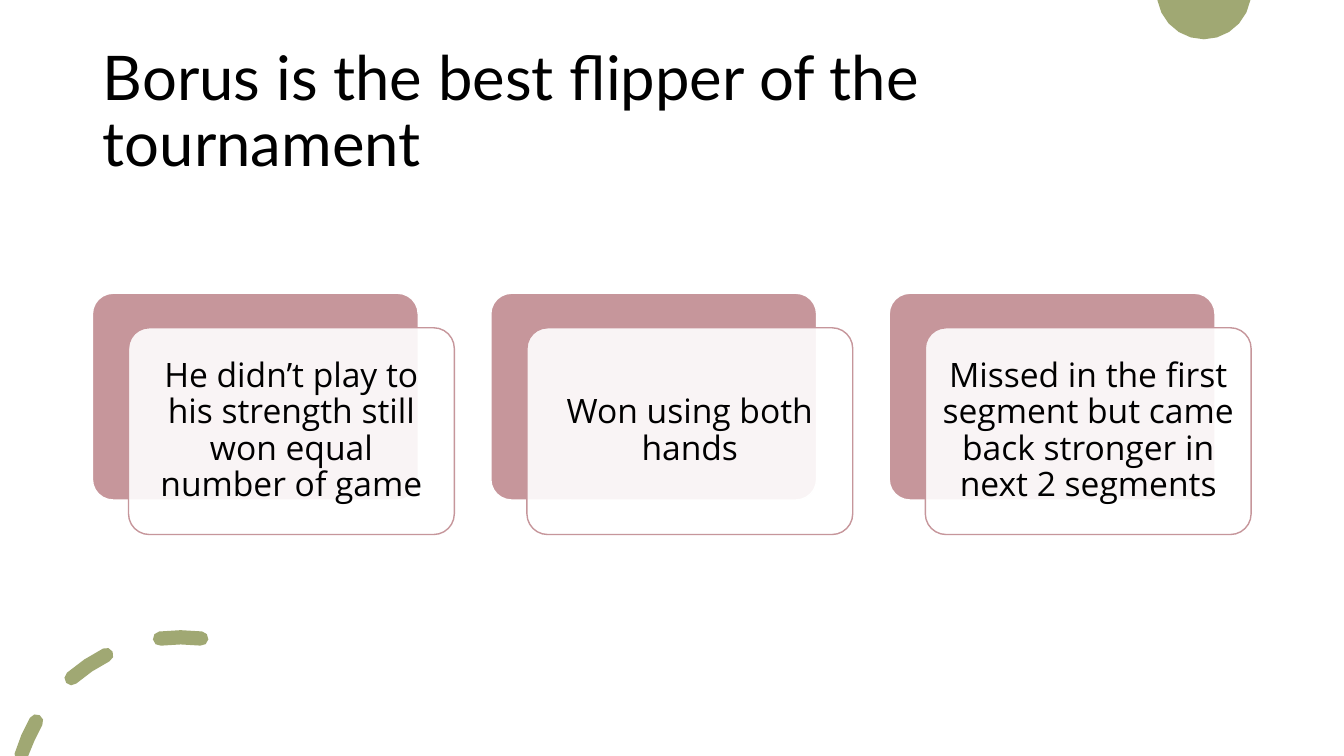
from math import cos, radians, sin

from pptx import Presentation
from pptx.dml.color import RGBColor
from pptx.enum.shapes import MSO_SHAPE as SHAPE
from pptx.enum.text import MSO_ANCHOR as ANCHOR, MSO_AUTO_SIZE as AUTO, PP_ALIGN as ALIGN
from pptx.oxml.ns import qn
from pptx.util import Cm, Pt
from lxml.etree import SubElement

COLORS = {"olive": "A0A873", "rose": "C6969B", "white": "FFFFFF", "black": "000000"}
SLIDE_W, SLIDE_H = 33.87, 19.05
REASONS = [
    "He didn’t play to his strength still won equal number of game",
    "Won using both hands",
    "Missed in the first segment but came back stronger in next 2 segments",
]


def color(name):
    return RGBColor.from_string(COLORS[name])


def style_text(tf, font, size, align):
    tf.word_wrap = True
    tf.auto_size = AUTO.NONE
    tf.vertical_anchor = ANCHOR.MIDDLE
    for p in tf.paragraphs:
        p.alignment = align
        p.line_spacing = 0.9
        for r in p.runs:
            r.font.name = font
            r.font.size = Pt(size)
            r.font.color.rgb = color("black")


def arc(cx, cy, radius, start, end, steps):
    angles = [radians(start + (end - start) * i / steps) for i in range(steps + 1)]
    return [(cx + radius * cos(a), cy - radius * sin(a)) for a in angles]


def add_outline(s, contours):
    contours = [[(Cm(x), Cm(min(max(y, 0), SLIDE_H))) for x, y in c] for c in contours]
    builder = s.shapes.build_freeform(*contours[0][0])
    builder.add_line_segments(contours[0][1:])
    for contour in contours[1:]:
        builder.move_to(*contour[0])
        builder.add_line_segments(contour[1:])
    sp = builder.convert_to_shape()
    sp.shadow.inherit = False
    sp.fill.solid()
    sp.fill.fore_color.rgb = color("olive")
    sp.line.fill.background()


def add_top_disc(s, left, bottom, diameter):
    radius = diameter / 2
    add_outline(s, [arc(left + radius, bottom - radius, radius, -9.7, -170.3, 10)])


def add_dashed_ring(s, left, top, diameter, thickness):
    half = thickness / 2
    radius = diameter / 2 - half
    cx, cy = left + diameter / 2, top + diameter / 2
    dashes = []
    for start, end in [(150.3, 163.2), (116.6, 131), (83, 97.2)]:
        x0, y0 = arc(cx, cy, radius, start, end, 1)[0]
        x1, y1 = arc(cx, cy, radius, start, end, 1)[1]
        sides = [arc(cx, cy, radius + half, start, end, 2),
                 arc(x1, y1, half, end, end + 180, 4),
                 arc(cx, cy, radius - half, end, start, 2),
                 arc(x0, y0, half, start + 180, start + 360, 4)]
        dashes.append([point for side in sides for point in side[:-1]])
    add_outline(s, dashes)


def add_title(s, text, left, top, width, height):
    sp = s.shapes.title
    sp.left, sp.top, sp.width, sp.height = Cm(left), Cm(top), Cm(width), Cm(height)
    sp.text_frame.text = text
    style_text(sp.text_frame, "Lato", 44, ALIGN.LEFT)
    sp.text_frame.margin_right = Cm(1)


def add_panel(s, left, top, width, height, fill, line):
    sp = s.shapes.add_shape(SHAPE.ROUNDED_RECTANGLE, Cm(left), Cm(top), Cm(width), Cm(height))
    sp.adjustments[0] = 0.1
    sp.shadow.inherit = False
    sp.fill.solid()
    sp.fill.fore_color.rgb = color(fill)
    sp.line.color.rgb = color(line)
    sp.line.width = Pt(1)
    return sp


def add_cards(s, texts, left, top, width, height):
    dx, dy = 0.91, 0.87
    card_w, card_h = 8.21, height - dy
    pitch = (width - card_w - dx) / (len(texts) - 1)
    for i, text in enumerate(texts):
        x = left + i * pitch
        add_panel(s, x, top, card_w, card_h, "rose", "white")
        sp = add_panel(s, x + dx, top + dy, card_w, card_h, "white", "rose")
        rgb = sp.fill._xPr.find(qn("a:solidFill"))[0]
        SubElement(rgb, qn("a:alpha")).set("val", "90000")
        tf = sp.text_frame
        tf.text = text
        tf.margin_left = tf.margin_right = tf.margin_top = tf.margin_bottom = Cm(0.25)
        style_text(tf, "Open Sans", 24, ALIGN.CENTER)


prs = Presentation()
prs.slide_width, prs.slide_height = Cm(SLIDE_W), Cm(SLIDE_H)
s = prs.slides.add_slide(prs.slide_layouts[5])
add_top_disc(s, 29.15, 0.99, 2.38)
add_dashed_ring(s, 0.18, 15.88, 8.76, 0.36)
add_title(s, "Borus is the best flipper of the tournament", 2.34, 1.02, 29.21, 3.68)
add_cards(s, REASONS, 2.33, 7.39, 29.2, 6.08)
prs.save("out.pptx")
